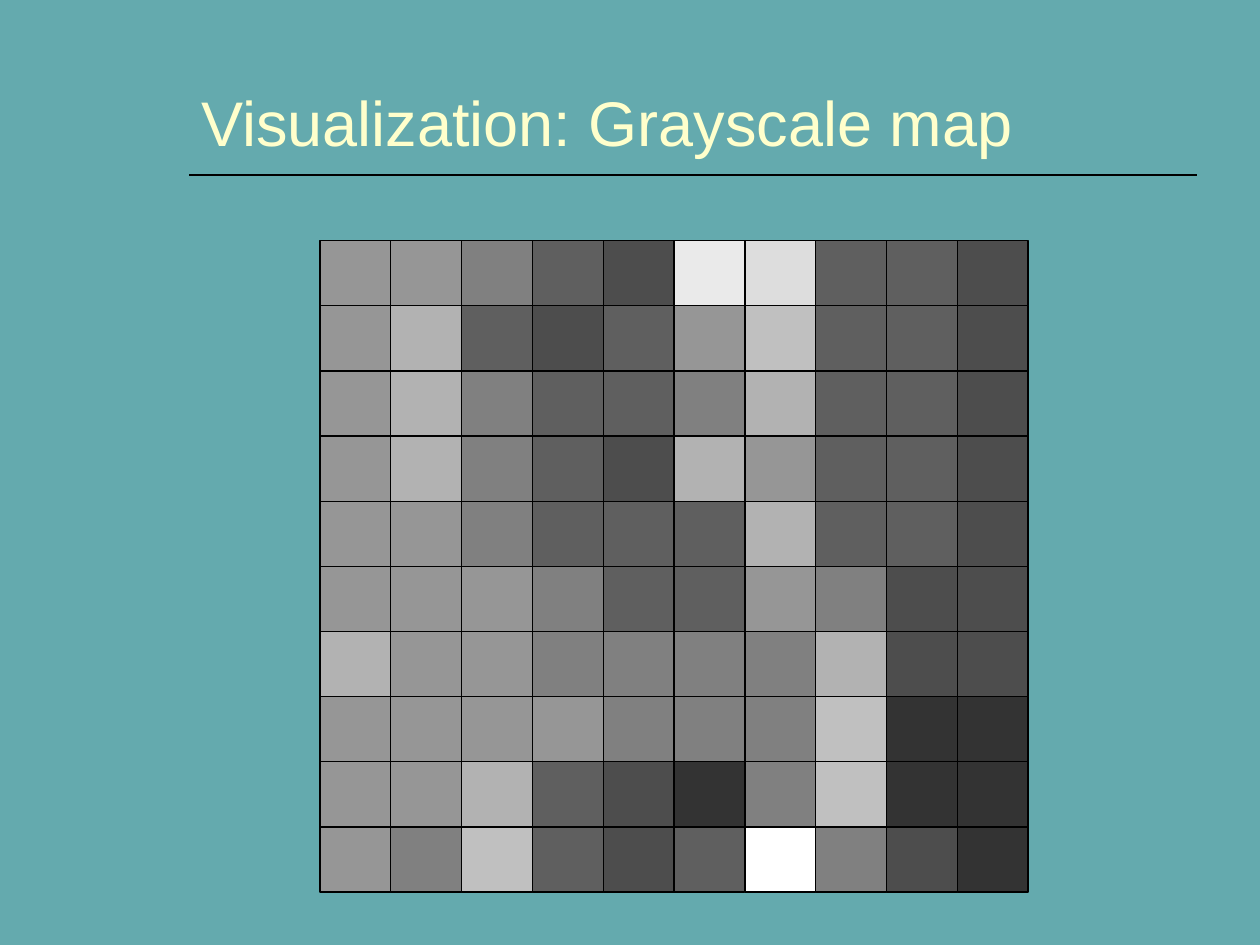
from pptx import Presentation
from pptx.dml.color import RGBColor
from pptx.enum.shapes import MSO_CONNECTOR, MSO_SHAPE
from pptx.enum.text import MSO_ANCHOR
from pptx.oxml.ns import qn
from pptx.util import Inches, Pt
from lxml.etree import SubElement

COLORS = {"background": "64AAAE", "title": "FFFFCC", "line": "000000"}
SHADES = {
    "3": "333333", "4": "4D4D4D", "5": "5F5F5F", "8": "808080", "9": "969696",
    "B": "B2B2B2", "C": "C0C0C0", "D": "DDDDDD", "E": "EAEAEA", "F": "FFFFFF",
}
GRAY_ROWS = [
    "99854ED554",
    "9B5459C554",
    "9B8558B554",
    "9B854B9554",
    "998555B554",
    "9998559844",
    "B998888B44",
    "9999888C33",
    "99B5438C33",
    "98C545F843",
]


def rgb(value):
    """Turn a hex string into a colour."""
    return RGBColor.from_string(value)


def add_title(s, text, left, top, width, height):
    """Place the title at the bottom of its box, with a rule below it."""
    tf = s.shapes.add_textbox(left, top, width, height).text_frame
    for name, value in {"word_wrap": True, "vertical_anchor": MSO_ANCHOR.BOTTOM}.items():
        setattr(tf, name, value)
    r = tf.paragraphs[0].add_run()
    r.text = text
    for name, value in {"name": "Arial", "size": Pt(36)}.items():
        setattr(r.font, name, value)
    r.font.color.rgb = rgb(COLORS["title"])

    rule_y = top + height + Inches(0.08)
    rule = s.shapes.add_connector(MSO_CONNECTOR.STRAIGHT, left, rule_y, left + width, rule_y)
    rule.line.color.rgb = rgb(COLORS["line"])
    rule.line.width = Pt(1)
    SubElement(rule._element.spPr, qn("a:effectLst"))


def add_gray_map(s, rows, left, top, width, height):
    """Fill the box with one grouped rectangle per shade, column by column."""
    group = s.shapes.add_group_shape()
    cell_w, cell_h = width / len(rows[0]), height / len(rows)
    for i, column in enumerate(zip(*rows)):
        for j, shade in enumerate(column):
            sp = group.shapes.add_shape(
                MSO_SHAPE.RECTANGLE,
                round(left + i * cell_w), round(top + j * cell_h),
                round(cell_w), round(cell_h),
            )
            sp.shadow.inherit = False
            sp.fill.solid()
            sp.fill.fore_color.rgb = rgb(SHADES[shade])
            sp.line.color.rgb = rgb(COLORS["line"])
            sp.line.width = Pt(0.75)


def main():
    """Build the slide and save it."""
    prs = Presentation()
    prs.slide_width, prs.slide_height = Inches(10), Inches(7.5)
    s = prs.slides.add_slide(prs.slide_layouts[6])
    s.background.fill.solid()
    s.background.fill.fore_color.rgb = rgb(COLORS["background"])
    add_title(s, "Visualization: Grayscale map",
              Inches(1.5), Inches(0.06), Inches(8), Inches(1.25))
    add_gray_map(s, GRAY_ROWS, Inches(2.54), Inches(1.91), Inches(5.62), Inches(5.17))
    prs.save("out.pptx")


if __name__ == "__main__":
    main()
